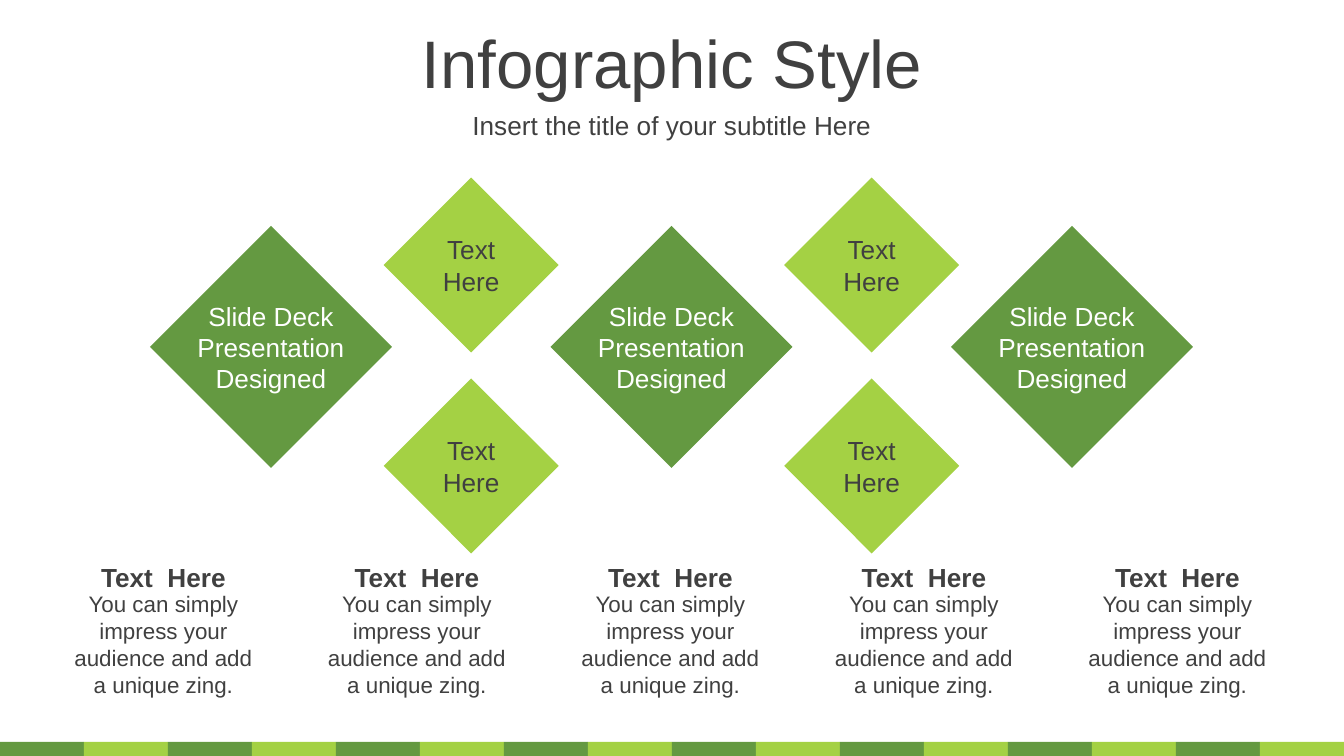
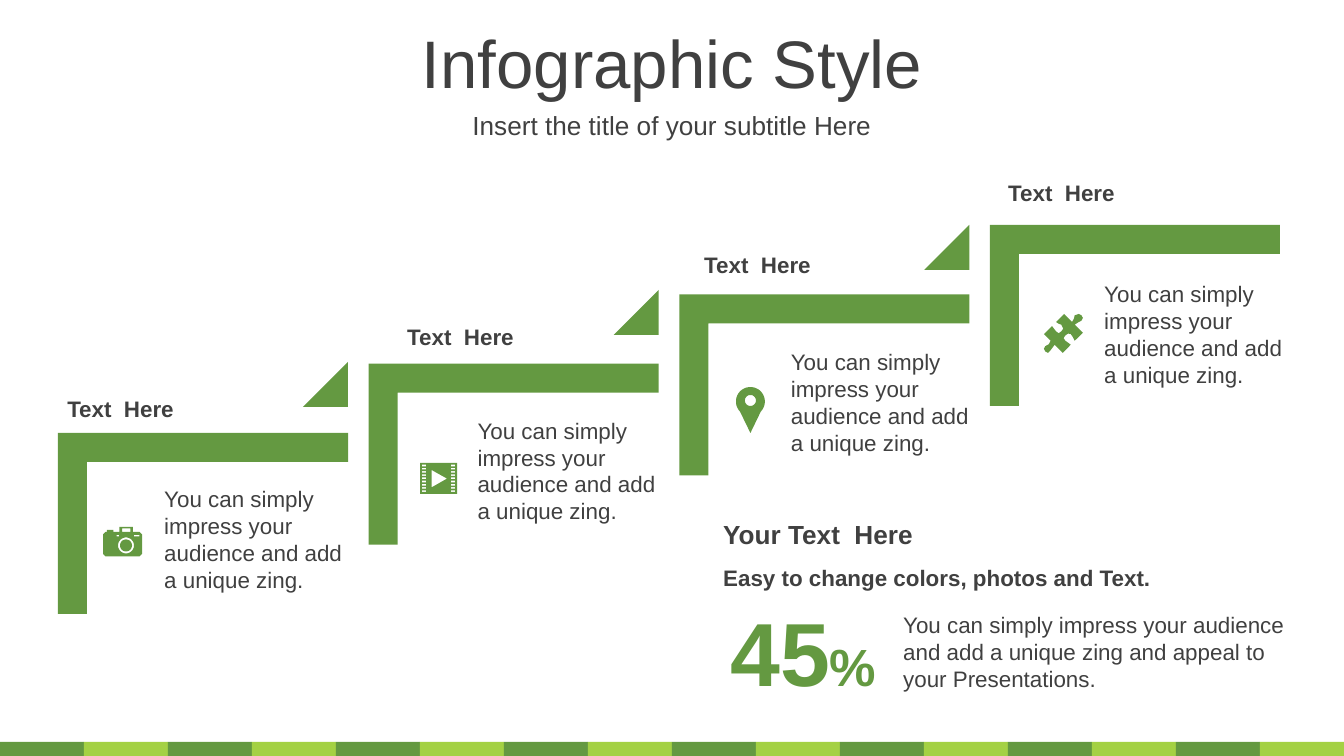
from itertools import cycle
from math import cos, radians, sin

from pptx import Presentation
from pptx import util as u
from pptx.dml.color import RGBColor
from pptx.enum import shapes, text

COLORS = {"dark": "649941", "light": "A4D144", "ink": "404040", "white": "FFFFFF"}
FONT = "Arial"
WIDTH, HEIGHT = 1344, 756
EMU_PER_PX = 9144000 / WIDTH

TITLE = "Infographic Style"
SUBTITLE = "Insert the title of your subtitle Here"
HEADING = "Text  Here"
BLURB = "You can simply impress your audience and add a unique zing."

# Diamonds: lines, fill, ink, side, text box size, centre heights
LARGE = (["Slide Deck", "Presentation", "Designed"], "dark", "white", 242, (196, 109), [347])
SMALL = (["Text", "Here"], "light", "ink", 175, (136, 77), [265, 466])
DIAMOND_COLUMNS = [LARGE, SMALL, LARGE, SMALL, LARGE]
CAPTIONS = [(HEADING, BLURB)] * 5

# Steps: heading, heading left, blurb, icon name, icon left and top
STEPS = [
    (HEADING, 54, BLURB, "camera", (103, 527)),
    (HEADING, 394, BLURB, "film", (420, 463)),
    (HEADING, 691, BLURB, "pin", (736, 387)),
    (HEADING, 995, BLURB, "puzzle", (1044, 314)),
]
ARROW_TOPS = [362, 290, 225]
SUMMARY_HEADING = "Your Text  Here"
SUMMARY_LEAD = "Easy to change colors, photos and Text."
SUMMARY_SHARE = [("45", 48), ("%", 28)]
SUMMARY_BLURB = ("You can simply impress your audience and add a unique zing "
                 "and appeal to your Presentations.")


def px(length):
    return u.Emu(round(length * EMU_PER_PX))


def rgb(name):
    return RGBColor.from_string(COLORS[name])


def spread(first, last, count):
    return [first + (last - first) * i / (count - 1) for i in range(count)]


def paint(shape, color):
    shape.shadow.inherit = False
    shape.fill.solid()
    shape.fill.fore_color.rgb = rgb(color)
    shape.line.fill.background()
    return shape


def add_block(slide, kind, left, top, width, height, color):
    return paint(slide.shapes.add_shape(kind, px(left), px(top), px(width), px(height)), color)


def write(frame, lines, size, color="ink", bold=False, align=text.PP_ALIGN.LEFT):
    frame.word_wrap = True
    frame.vertical_anchor = text.MSO_ANCHOR.MIDDLE
    for i, line in enumerate(lines):
        paragraph = frame.add_paragraph() if i else frame.paragraphs[0]
        paragraph.text = line
        paragraph.alignment = align
        paragraph.space_before = u.Pt(0)
        font = paragraph.font
        font.name, font.size, font.bold = FONT, u.Pt(size), bold
        font.color.rgb = rgb(color)


def add_text(slide, left, top, width, height, lines, size, **style):
    box = slide.shapes.add_textbox(px(left), px(top), px(width), px(height))
    write(box.text_frame, lines, size, **style)
    return box


# Icon outlines, in tenths of a px

def rect(left, top, width, height):
    right, bottom = left + width, top + height
    return [(left, top), (right, top), (right, bottom), (left, bottom)]


def arc(cx, cy, radius, start=0, end=360):
    return [(cx + radius * cos(radians(a)), cy + radius * sin(radians(a)))
            for a in range(start, end + 1, 10)]


PUZZLE = [
    (28, 1), (29, 3), (28, 5), (25.5, 6.3), (23, 8), (29, 14), (23, 20), (21.7, 17.5),
    (20, 15), (18, 14.6), (16, 16), (14.6, 18), (16, 20), (18, 21.4), (20, 23), (14, 29),
    (8, 23), (6.5, 25), (5, 27), (3, 29), (1, 28), (0, 26), (1, 24), (3.5, 22.7), (5, 20),
    (0, 15), (6, 9), (7.5, 11), (9, 13), (11, 14.4), (13, 13), (14.4, 11), (13, 8),
    (11, 7.3), (9, 6), (15, 0), (21, 6), (22.4, 3.5), (23, 1), (26, 0),
]
CAMERA = [
    (165, 0), (300, 0), (300, 50), (365, 50), (390, 75), (390, 270), (365, 295), (25, 295),
    (0, 270), (0, 75), (25, 50), (40, 50), (40, 30), (105, 30), (105, 50), (165, 50),
]
ICONS = {
    "camera": [CAMERA, rect(190, 15, 85, 35), rect(135, 80, 25, 15), rect(310, 80, 55, 15),
               arc(230, 185, 80), arc(230, 185, 60)],
    "film": [rect(0, 0, 370, 310), [(115, 70), (115, 245), (270, 157)]]
            + [rect(x, 18 + 32 * row, 40, 16) for x in (20, 310) for row in range(9)],
    "pin": [arc(145, 145, 145, 135, 405) + [(145, 460)], arc(145, 135, 55)],
    "puzzle": [[(x * 13.4, y * 13.4) for x, y in PUZZLE]],
}


def add_icon(slide, contours, left, top):
    """Draw one filled outline; the contours after the first cut holes."""
    builder = slide.shapes.build_freeform(*contours[0][0], scale=EMU_PER_PX / 10)
    for i, contour in enumerate(contours):
        if i:
            builder.move_to(*contour[0])
        builder.add_line_segments(contour[1:], close=True)
    paint(builder.convert_to_shape(px(left), px(top)), "dark")


def add_footer_band(slide, layout, tiles=16):
    """Build the tiles on a slide, then move them to its layout."""
    width = WIDTH / tiles
    for i, color in zip(range(tiles), cycle(["dark", "light"])):
        tile = add_block(slide, shapes.MSO_SHAPE.RECTANGLE, i * width, 742, width, 14, color)
        layout.shapes.element.append(tile.element)


def add_titled_slide(deck, layout):
    slide = deck.slides.add_slide(layout)
    title, subtitle = slide.placeholders
    for holder, line, size, top, height in ((title, TITLE, 36, 19, 85),
                                            (subtitle, SUBTITLE, 14, 104, 42)):
        holder.left, holder.top = px(0), px(top)
        holder.width, holder.height = px(WIDTH), px(height)
        write(holder.text_frame, [line], size, align=text.PP_ALIGN.CENTER)
    return slide


def fill_diamond_slide(slide):
    center = text.PP_ALIGN.CENTER
    for cx, column in zip(spread(271, 1072, len(DIAMOND_COLUMNS)), DIAMOND_COLUMNS):
        lines, fill, ink, side, (width, height), middles = column
        for cy in middles:
            add_block(slide, shapes.MSO_SHAPE.DIAMOND, cx - side / 2, cy - side / 2,
                      side, side, fill)
            add_text(slide, cx - width / 2, cy - height / 2, width, height, lines, 14,
                     color=ink, align=center)
    for left, (heading, blurb) in zip(spread(58, 1072, len(CAPTIONS)), CAPTIONS):
        add_text(slide, left, 583, 211, 122, [blurb], 12, align=center)
        add_text(slide, left, 554, 211, 46, [heading], 14, bold=True, align=center)


def fill_stairs_slide(slide):
    count = len(STEPS)
    run, rise, bar, arrow = 290, 181, 0.16, 45
    lefts, tops = spread(58, 990, count), spread(433, 225, count)
    for left, top in zip(lefts, tops):
        corner = add_block(slide, shapes.MSO_SHAPE.CORNER, left + (run - rise) / 2,
                           top + (rise - run) / 2, rise, run, "dark")
        corner.rotation = 90
        corner.adjustments[0] = corner.adjustments[1] = bar
    for left, top in zip(lefts, ARROW_TOPS):
        tip = add_block(slide, shapes.MSO_SHAPE.ISOSCELES_TRIANGLE, left + run - arrow, top,
                        arrow, arrow, "dark")
        tip.adjustments[0] = 1

    blurb_places = zip(spread(151, 1091, count), spread(478, 273, count))
    for step, (left, top), heading_top in zip(STEPS, blurb_places, spread(388, 172, count)):
        heading, heading_left, blurb, icon, icon_place = step
        add_icon(slide, ICONS[icon], *icon_place)
        add_text(slide, left, top, 215, 122, [blurb], 12)
        add_text(slide, heading_left, heading_top, 215, 41, [heading], 12, bold=True)

    add_text(slide, 710, 511, 593, 46, [SUMMARY_HEADING], 14, bold=True)
    add_text(slide, 710, 557, 593, 41, [SUMMARY_LEAD], 12, bold=True)
    add_text(slide, 890, 604, 427, 95, [SUMMARY_BLURB], 12)
    share = add_text(slide, 717, 590, 175, 122, [""], 48, color="dark", bold=True).text_frame
    share.word_wrap = False
    for part, size in SUMMARY_SHARE:
        figure = share.paragraphs[0].add_run()
        figure.text = part
        figure.font.size = u.Pt(size)


def main():
    deck = Presentation()
    deck.slide_width, deck.slide_height = px(WIDTH), px(HEIGHT)
    layout = deck.slide_layouts[0]
    diamonds = add_titled_slide(deck, layout)
    add_footer_band(diamonds, layout)
    fill_diamond_slide(diamonds)
    fill_stairs_slide(add_titled_slide(deck, layout))
    deck.save("out.pptx")


if __name__ == "__main__":
    main()
